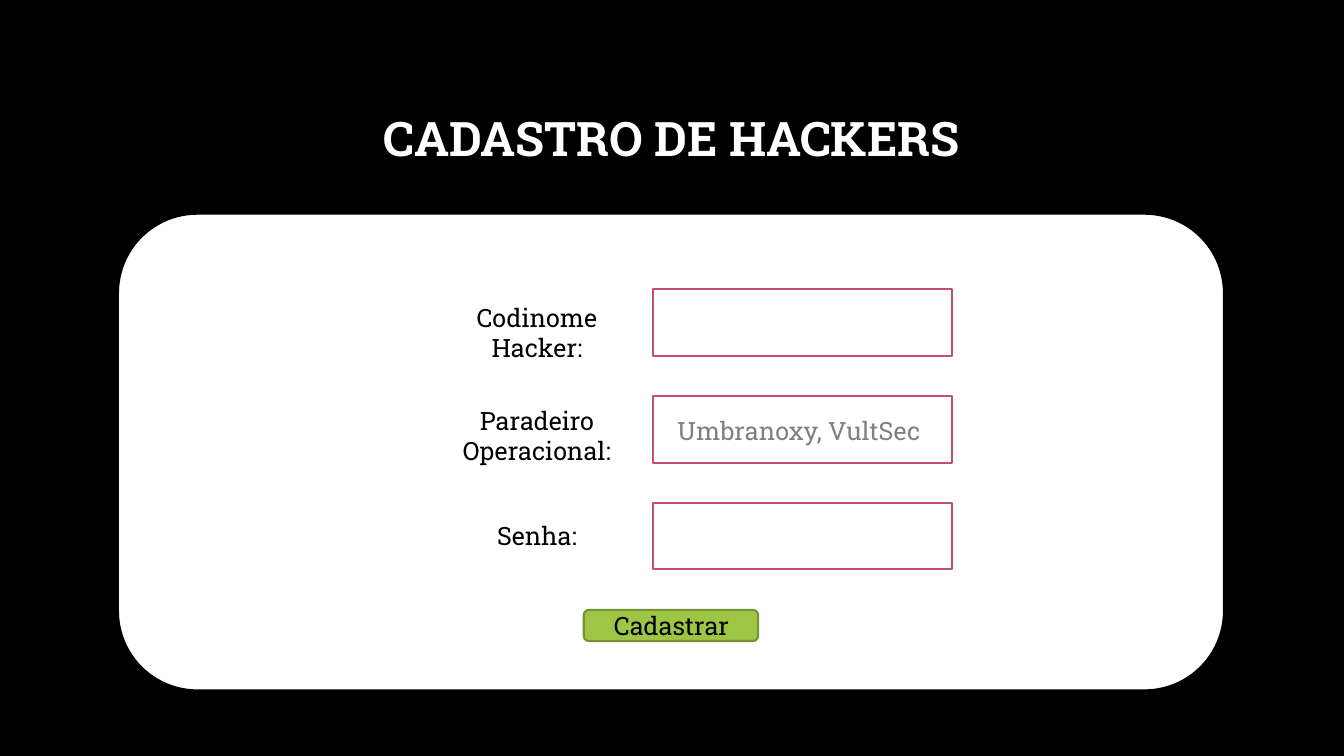
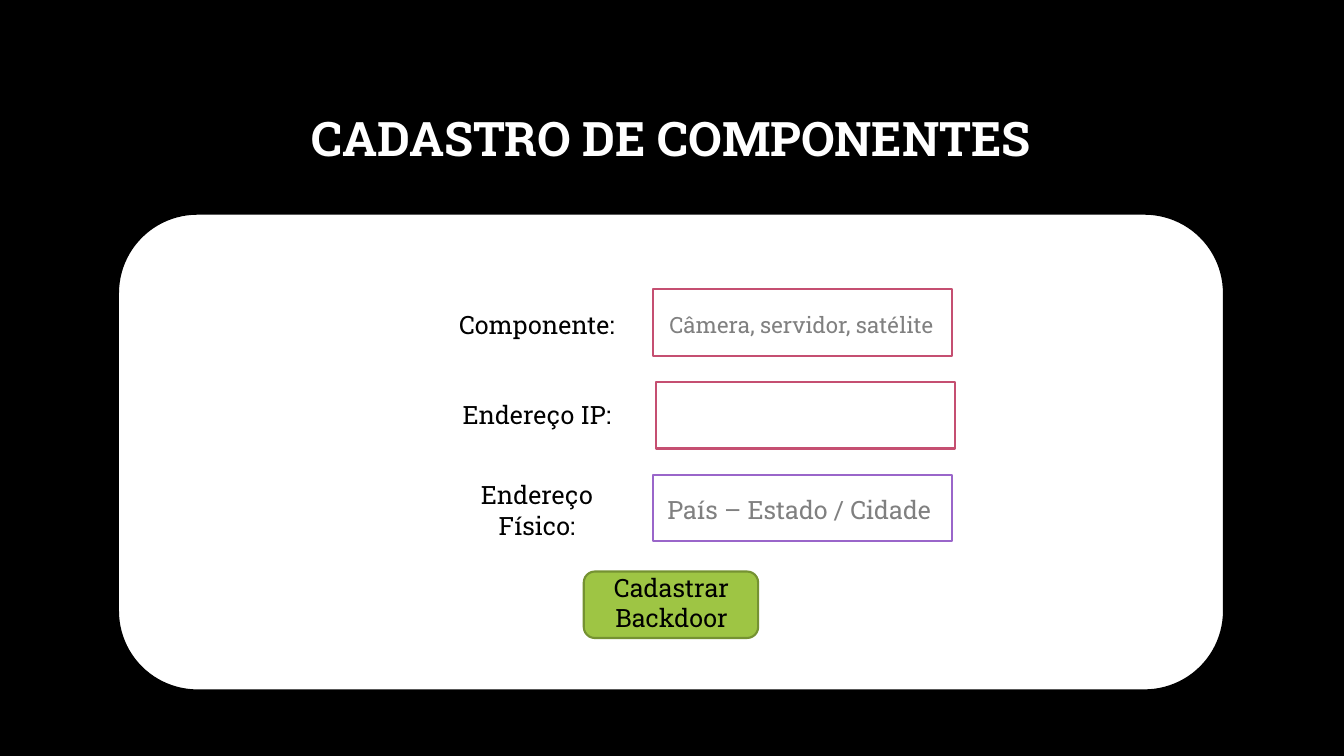
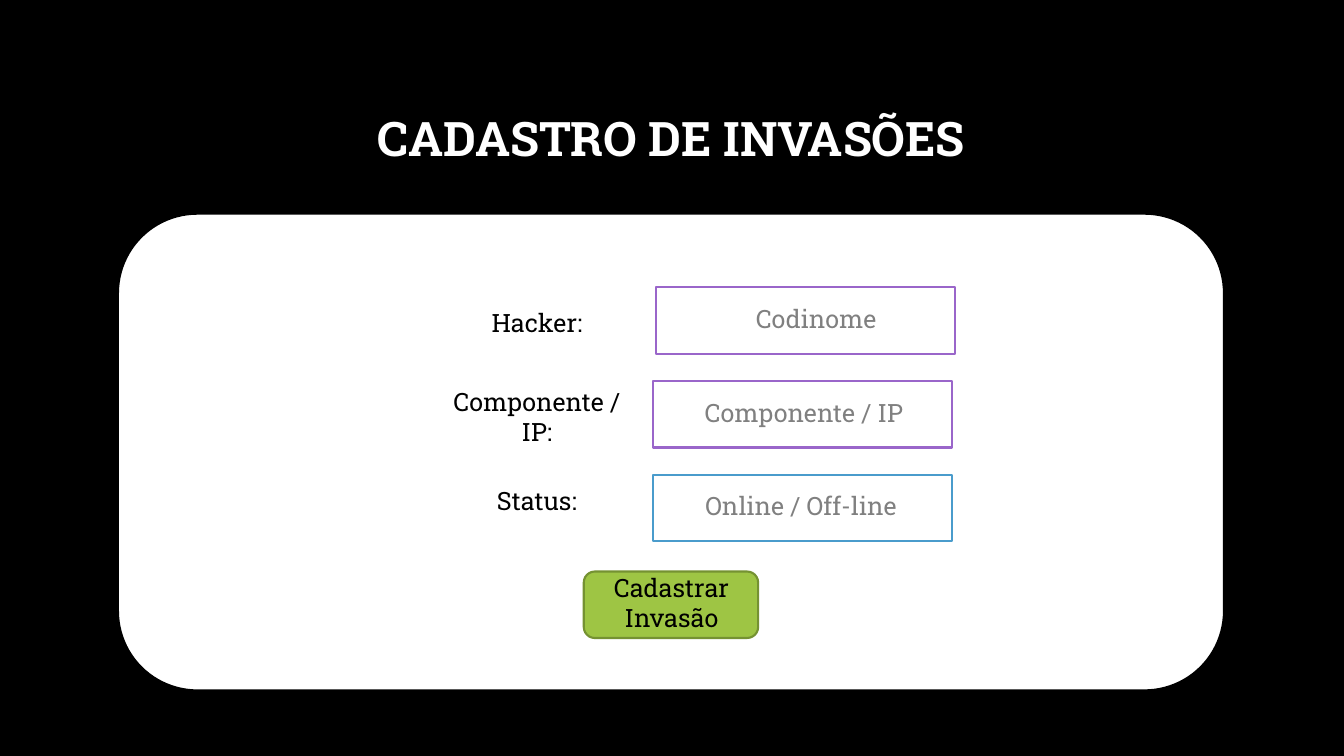
from pptx import Presentation
from pptx.dml.color import RGBColor
from pptx.enum.shapes import MSO_SHAPE
from pptx.enum.text import MSO_ANCHOR, MSO_AUTO_SIZE, PP_ALIGN
from pptx.util import Inches, Pt

RECT, ROUND = MSO_SHAPE.RECTANGLE, MSO_SHAPE.ROUNDED_RECTANGLE
LEFT, MID = PP_ALIGN.LEFT, PP_ALIGN.CENTER
TOP, CENTER = MSO_ANCHOR.TOP, MSO_ANCHOR.MIDDLE
GROW, FIXED = MSO_AUTO_SIZE.SHAPE_TO_FIT_TEXT, MSO_AUTO_SIZE.NONE

FONT = "Roboto Slab"
BLACK, WHITE, GRAY = "000000", "FFFFFF", "808080"
PINK, PURPLE, BLUE = "C54F71", "9A66CA", "4A9CCC"
GREEN, OLIVE = "9EC544", "759232"

# Each row: label, its line count and drop below the row top,
# field line colour and shift to the right, hint or None.
# Each hint: text, shift and drop from the field, size, alignment.
FORMS = [
    dict(title="CADASTRO DE HACKERS", first=2.87, pitch=1.06,
         button=["Cadastrar"], top=6.05, tall=0.31,
         rows=[
             ("Codinome Hacker:", 2, 0.08, PINK, 0, None),
             ("Paradeiro Operacional:", 2, 0.04, PINK, 0,
              ("Umbranoxy, VultSec", 0.14, 0.14, 18, LEFT)),
             ("Senha:", 1, 0.12, PINK, 0, None)]),
    dict(title="CADASTRO DE COMPONENTES", first=2.87, pitch=0.92,
         button=["Cadastrar", "Backdoor"], top=5.67, tall=0.66,
         rows=[
             ("Componente:", 1, 0.15, PINK, 0,
              ("Câmera, servidor, satélite", 0.06, 0.17, 16, LEFT)),
             ("Endereço IP:", 1, 0.12, PINK, 0.03, None),
             ("Endereço Físico:", 2, 0, PURPLE, 0,
              ("País – Estado / Cidade", 0.04, 0.14, 18, LEFT))]),
    dict(title="CADASTRO DE INVASÕES", first=2.85, pitch=0.93,
         button=["Cadastrar", "Invasão"], top=5.67, tall=0.66,
         rows=[
             ("Hacker:", 1, 0.15, PURPLE, 0.03,
              ("Codinome", 0.12, 0.11, 18, MID)),
             ("Componente / IP:", 2, 0, PURPLE, 0,
              ("Componente / IP", 0.03, 0.11, 18, MID)),
             ("Status:", 1, 0.06, BLUE, 0,
              ("Online / Off-line", 0, 0.11, 18, MID))]),
]

WIDE, HIGH = 13.33, 7.5
TITLE = (1, 0.67, 11.32, 1.45)
PANEL = (1.17, 2.12, 10.97, 4.73)
LABEL_X, LABEL_W = 4.34, 1.97
FIELD_X, FIELD_W, FIELD_H = 6.48, 2.96, 0.66
HINT_W = 2.93
BTN_X, BTN_W = 5.79, 1.73
CAP_X, CAP_W = 5.92, 1.48


def color(code):
    """Turn a hex string into a colour."""
    return RGBColor.from_string(code)


def tall(count):
    """Give the height of a text box with this many lines."""
    return 0.1 + 0.3 * count


def shape(slide, kind, box, fill, line):
    """Draw a filled shape with an outline."""
    item = slide.shapes.add_shape(kind, *map(Inches, box))
    item.shadow.inherit = False
    item.fill.solid()
    item.fill.fore_color.rgb = color(fill)
    item.line.color.rgb = color(line)
    item.line.width = Pt(1.5)


def text(slide, lines, box, size=18, ink=BLACK, bold=False, align=MID,
         anchor=TOP, fit=GROW, space=1.0):
    """Write one paragraph for each line in a text box."""
    frame = slide.shapes.add_textbox(*map(Inches, box)).text_frame
    frame.word_wrap = True
    frame.auto_size = fit
    frame.vertical_anchor = anchor
    frame.text = "\n".join(lines)
    for para in frame.paragraphs:
        para.alignment = align
        para.line_spacing = space
        font = para.runs[0].font
        font.name, font.size, font.bold = FONT, Pt(size), bold
        font.color.rgb = color(ink)


def entry(slide, y, row):
    """Draw a label and its field, with the hint if there is one."""
    label, count, drop, line, shift, hint = row
    x = FIELD_X + shift
    text(slide, [label], (LABEL_X, y + drop, LABEL_W, tall(count)))
    shape(slide, RECT, (x, y, FIELD_W, FIELD_H), WHITE, line)
    if hint:
        words, dx, dy, size, align = hint
        text(slide, [words], (x + dx, y + dy, HINT_W, tall(1)),
             size=size, ink=GRAY, align=align)


def form(deck, data):
    """Build one slide with its title, panel, rows and button."""
    slide = deck.slides.add_slide(deck.slide_layouts[6])
    slide.background.fill.solid()
    slide.background.fill.fore_color.rgb = color(BLACK)
    text(slide, [data["title"]], TITLE, size=34, ink=WHITE, bold=True,
         anchor=CENTER, fit=FIXED, space=0.9)
    shape(slide, ROUND, PANEL, WHITE, BLACK)
    for i, row in enumerate(data["rows"]):
        entry(slide, data["first"] + i * data["pitch"], row)
    top, lines = data["top"], data["button"]
    shape(slide, ROUND, (BTN_X, top, BTN_W, data["tall"]), GREEN, OLIVE)
    text(slide, lines, (CAP_X, top - 0.04, CAP_W, tall(len(lines))))


deck = Presentation()
deck.slide_width, deck.slide_height = Inches(WIDE), Inches(HIGH)
for data in FORMS:
    form(deck, data)
deck.save("out.pptx")
